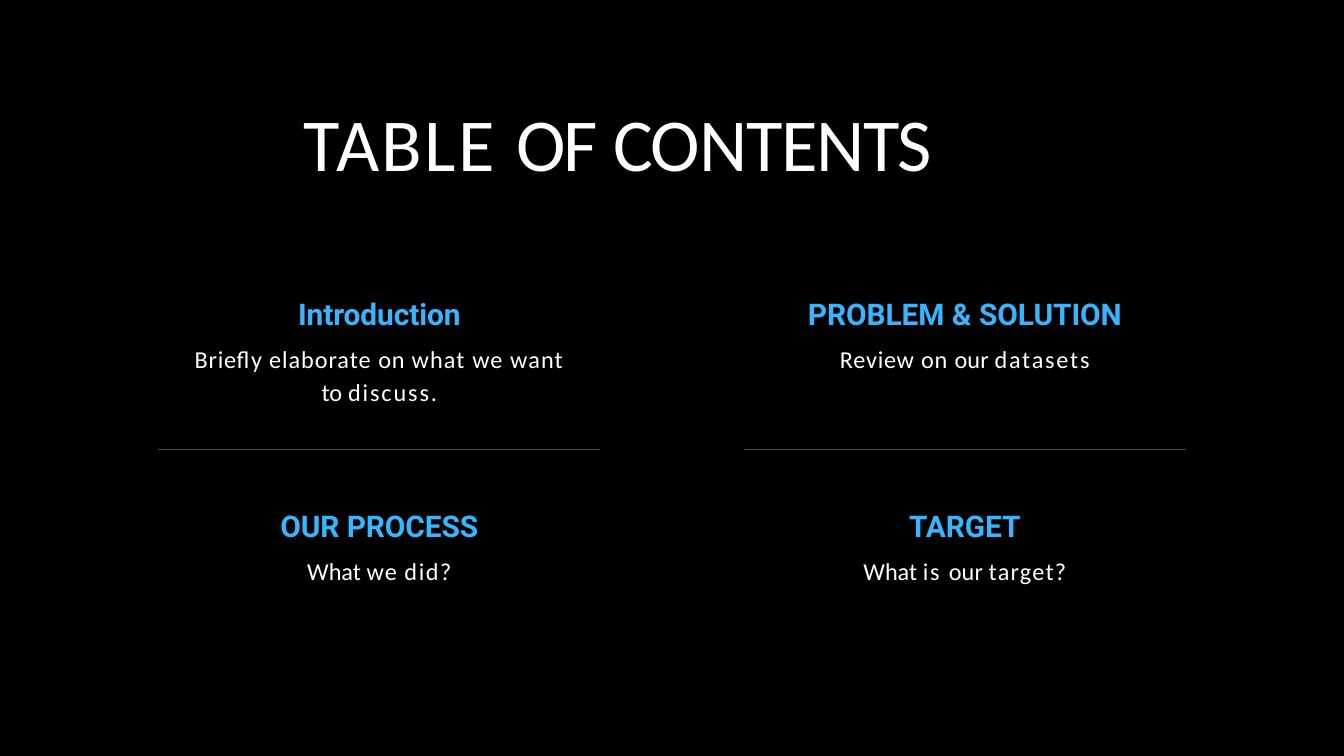
"""Build a dark table of contents slide with four topics."""
import pptx
import pptx.util
import pptx.dml.color
import pptx.enum.shapes
import pptx.enum.text
import pptx.oxml.xmlchemy
from pptx.util import Cm, Pt

BLACK = pptx.dml.color.RGBColor(0x00, 0x00, 0x00)
WHITE = pptx.dml.color.RGBColor(0xFF, 0xFF, 0xFF)
BLUE = pptx.dml.color.RGBColor(0x37, 0xB5, 0xFF)
GRAY = pptx.dml.color.RGBColor(0x49, 0x4E, 0x56)


def add_box(left, top, width, height, inset):
    box = slide.shapes.add_textbox(Cm(left), Cm(top), Cm(width), Cm(height))
    frame = box.text_frame
    frame.word_wrap = True
    frame.margin_left = frame.margin_right = frame.margin_bottom = 0
    frame.margin_top = Cm(inset)
    return frame


def write(para, runs, face, size, color, before, bold=False):
    para.space_before = Pt(before)
    font = para.font
    font.name, font.size, font.bold = face, Pt(size), bold
    font.color.rgb = color
    for text, gap in runs:
        run = para.add_run()
        run.text = text
        run.font._element.set("spc", str(round(gap * 100)))


deck = pptx.Presentation()
deck.slide_width, deck.slide_height = Cm(50.8), Cm(28.575)
slide = deck.slides.add_slide(deck.slide_layouts[6])
slide.background.fill.solid()
slide.background.fill.fore_color.rgb = BLACK

title = add_box(11.48, 3.63, 27.81, 3.45, 0.03)
write(title.paragraphs[0], [("TABLE ", 2.4), ("OF ", -2.1), ("CONTENTS", -1.4)],
      "Calibri", 80, WHITE, 1)

mids = [14.34, 36.47]
tops = [10.57, 18.59]
topics = [
    (0, 0, 14.86, 4.85, 8.7, 1.15, [("Introduction", -0.1)],
     [("Briefly ", 0.8), ("elaborate ", 1), ("on ", 0.8), ("what ", 1.2),
      ("we ", 1.1), ("want ", 1.2), ("to ", 0.1), ("discuss.", 2)]),
    (0, 1, 7.59, 3.58, 13.6, 1, [("OUR PROCESS", -0.1)],
     [("What ", 0), ("we ", 1.1), ("did?", 1.7)]),
    (1, 0, 11.99, 3.58, 13.6, 1,
     [("PROBLEM ", -0.1), ("& ", 0), ("SOLUTION", -0.1)],
     [("Review on ", 0.8), ("our ", 0.1), ("datasets", 1.9)]),
    (1, 1, 7.75, 3.58, 13.6, 1, [("TARGET", -0.1)],
     [("What ", 0), ("is ", 1.9), ("our ", 0.1), ("target?", 1.3)]),
]
for col, row, width, height, before, pitch, head, body in topics:
    frame = add_box(mids[col] - width / 2, tops[row], width, height, 0.61)
    write(frame.paragraphs[0], head, "Roboto", 32, BLUE, 17.6, True)
    para = frame.add_paragraph()
    para.line_spacing = pitch
    write(para, body, "Calibri", 26, WHITE, before)
    for para in frame.paragraphs:
        para.alignment = pptx.enum.text.PP_ALIGN.CENTER

half = 8.35
level = Cm(16.99)
for mid in mids:
    rule = slide.shapes.add_connector(
        pptx.enum.shapes.MSO_CONNECTOR.STRAIGHT,
        Cm(mid - half), level, Cm(mid + half), level)
    rule.line.color.rgb = GRAY
    rule.line.width = Pt(0.75)
    props = rule._element.spPr
    props.append(pptx.oxml.xmlchemy.OxmlElement("a:effectLst"))

deck.save("out.pptx")
